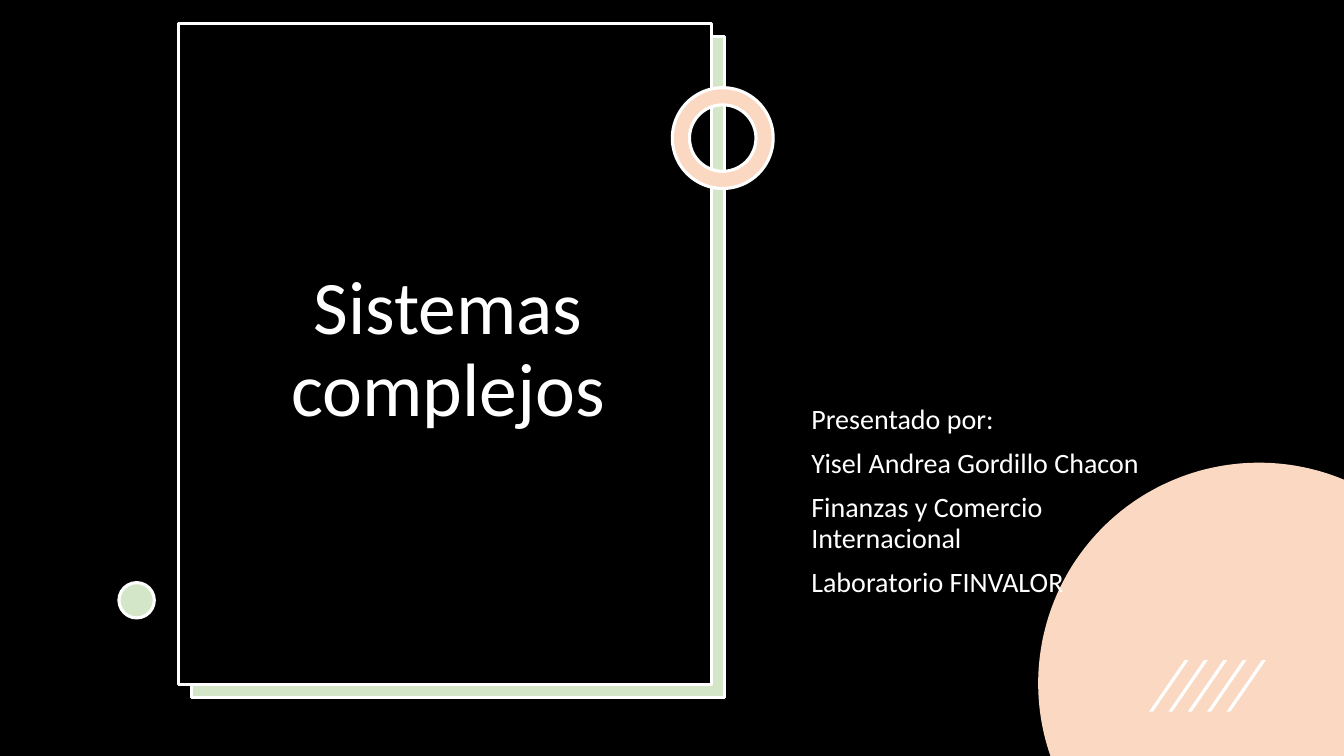
import math
import pptx
import pptx.util
import pptx.dml.color
import pptx.enum.shapes
import pptx.enum.text

deck = pptx.Presentation()
deck.slide_width = pptx.util.Inches(13.333)
deck.slide_height = pptx.util.Inches(7.5)
col = deck.slide_width / 100
row = deck.slide_height / 100
slide = deck.slides.add_slide(deck.slide_layouts[6])
kinds = pptx.enum.shapes.MSO_SHAPE
black, white, green, peach = "000000", "FFFFFF", "D4E6C8", "FAD8C1"


def paint(item, fill, line=None):
    item.shadow.inherit = False
    item.fill.solid()
    item.fill.fore_color.rgb = pptx.dml.color.RGBColor.from_string(fill)
    if line:
        item.line.color.rgb = pptx.dml.color.RGBColor.from_string(line)
        item.line.width = pptx.util.Pt(2.25)
    else:
        item.line.fill.background()


def place(x, y, wide, high):
    return [round(x * col), round(y * row), round(wide * col), round(high * row)]


slide.background.fill.solid()
slide.background.fill.fore_color.rgb = pptx.dml.color.RGBColor.from_string(white)
paint(slide.shapes.add_shape(kinds.RECTANGLE, *place(0, 0, 100, 100)), black)
for x, y, fill in [(14.25, 4.8, green), (13.28, 3.07, black)]:
    panel = slide.shapes.add_shape(kinds.RECTANGLE, *place(x, y, 39.68, 87.47))
    paint(panel, fill, white)

mid, base, wide, high = 93.68, 90.4, 16.43, 29.2
start = math.pi - math.asin((100 - base) / high)
stop = 2 * math.pi - math.acos((100 - mid) / wide)
steps = 90
turns = [start + (stop - start) * k / steps for k in range(steps + 1)]
rim = [((mid + wide * math.cos(t)) * col, (base + high * math.sin(t)) * row) for t in turns]
edge = slide.shapes.build_freeform(round(rim[0][0]), round(rim[0][1]))
edge.add_line_segments([(round(x), round(y)) for x, y in rim[1:]] + [(round(100 * col), round(100 * row))])
paint(edge.convert_to_shape(), peach)

names = ["Presentado por: ", "Yisel Andrea Gordillo Chacon",
         "Finanzas y Comercio Internacional", "Laboratorio FINVALOR"]
aligns = pptx.enum.text.PP_ALIGN
anchors = pptx.enum.text.MSO_ANCHOR
texts = [
    ((16.65, 7.47, 33.38, 77.87), ["Sistemas complejos"], 54, aligns.CENTER, anchors.MIDDLE, 0),
    ((59.63, 52.93, 27.38, 34.4), names, 20, aligns.LEFT, anchors.TOP, 10),
]
for spot, lines, size, align, anchor, gap in texts:
    frame = slide.shapes.add_textbox(*place(*spot)).text_frame
    frame.word_wrap = True
    frame.vertical_anchor = anchor
    for k, line in enumerate(lines):
        para = frame.add_paragraph() if k else frame.paragraphs[0]
        para.alignment = align
        para.line_spacing = 0.9
        para.space_before = pptx.util.Pt(gap)
        run = para.add_run()
        run.text = line
        run.font.name = "Calibri"
        run.font.size = pptx.util.Pt(size)
        run.font.color.rgb = pptx.dml.color.RGBColor.from_string(white)

ring = slide.shapes.add_shape(kinds.DONUT, *place(50.03, 11.6, 7.5, 13.33))
ring.adjustments[0] = 0.17
paint(ring, peach, white)
dot = slide.shapes.add_shape(kinds.OVAL, *place(8.85, 77.07, 2.63, 4.67))
paint(dot, green, white)

for k in range(5):
    slash = slide.shapes.add_shape(kinds.PARALLELOGRAM, *place(85.5 + 1.44 * k, 87.33, 2.93, 6.8))
    slash.adjustments[0] = 0.9
    paint(slash, white)

deck.save("out.pptx")
